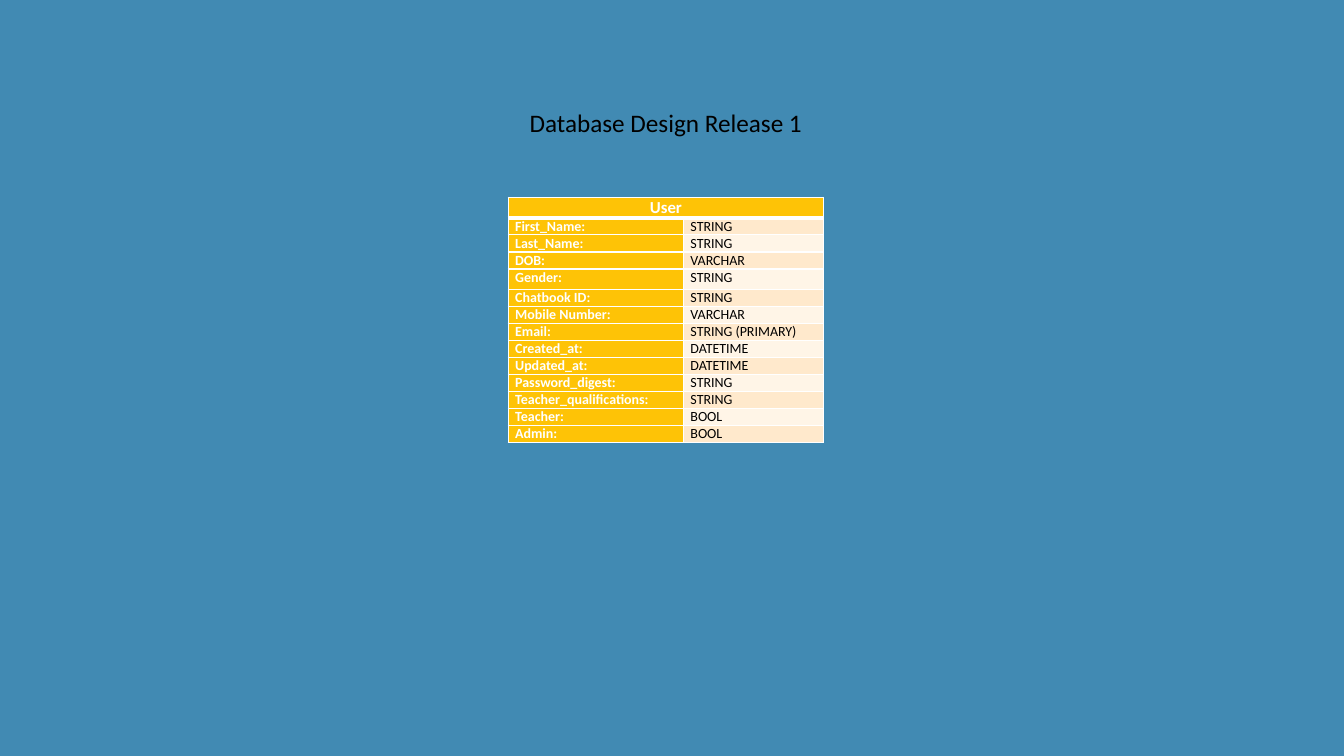
from dataclasses import dataclass

from lxml.etree import SubElement
from pptx import Presentation
from pptx.dml.color import RGBColor
from pptx.enum.text import MSO_ANCHOR, MSO_AUTO_SIZE, PP_ALIGN
from pptx.oxml.ns import qn
from pptx.util import Pt


@dataclass(frozen=True)
class Theme:
    font: str = "Calibri"
    background: str = "418AB3"
    accent: str = "FEC306"
    bands: tuple = ("FFE9CC", "FFF5E7")
    light: str = "FFFFFF"
    dark: str = "000000"
    title_size: float = 18
    header_size: float = 12
    body_size: float = 10
    thin_line: float = 1
    thick_line: float = 3


class SlideBuilder:
    """Holds the theme and the current slide."""

    def __init__(self, presentation, theme):
        self.theme = theme
        self.slide = presentation.slides.add_slide(presentation.slide_layouts[5])
        fill = self.slide.background.fill
        fill.solid()
        fill.fore_color.rgb = RGBColor.from_string(theme.background)

    def format_paragraph(self, paragraph, size, color, bold=False, align=PP_ALIGN.LEFT):
        paragraph.alignment = align
        font = paragraph.font
        font.name, font.size, font.bold = self.theme.font, Pt(size), bold
        font.color.rgb = RGBColor.from_string(color)

    def title(self, text, left, top, width, height):
        shape = self.slide.shapes.title
        shape.left, shape.top = Pt(left), Pt(top)
        shape.width, shape.height = Pt(width), Pt(height)
        frame = shape.text_frame
        frame.text = text
        frame.word_wrap = False
        frame.auto_size = MSO_AUTO_SIZE.SHAPE_TO_FIT_TEXT
        frame.vertical_anchor = MSO_ANCHOR.TOP
        self.format_paragraph(frame.paragraphs[0], self.theme.title_size,
                              self.theme.dark, align=PP_ALIGN.CENTER)

    def cell_borders(self, cell, **widths):
        properties = cell._tc.get_or_add_tcPr()
        for side in ("L", "R", "T", "B"):
            width = widths.get(side, self.theme.thin_line)
            line = SubElement(properties, qn(f"a:ln{side}"), w=str(Pt(width)))
            fill = SubElement(line, qn("a:solidFill"))
            SubElement(fill, qn("a:srgbClr"), val=self.theme.light)

    def cell(self, cell, text, fill, size, color, bold, align=PP_ALIGN.LEFT, **borders):
        cell.margin_left = cell.margin_right = Pt(5)
        cell.margin_top = cell.margin_bottom = 0
        self.cell_borders(cell, **borders)
        cell.fill.solid()
        cell.fill.fore_color.rgb = RGBColor.from_string(fill)
        cell.text = text
        self.format_paragraph(cell.text_frame.paragraphs[0], size, color, bold, align)

    def schema_table(self, name, fields, left, top, column_widths, row_heights):
        theme = self.theme
        table = self.slide.shapes.add_table(
            len(row_heights), len(column_widths), Pt(left), Pt(top),
            Pt(sum(column_widths)), Pt(sum(row_heights))).table
        table.first_row = table.horz_banding = False
        for column, width in zip(table.columns, column_widths):
            column.width = Pt(width)
        for row, height in zip(table.rows, row_heights):
            row.height = Pt(height)

        # Header across both columns
        table.cell(0, 0).merge(table.cell(0, 1))
        for column, text in enumerate((name, "")):
            self.cell(table.cell(0, column), text, theme.accent, theme.header_size,
                      theme.light, True, PP_ALIGN.CENTER, B=theme.thick_line)

        # One row per field, with banded types
        for index, (field, data_type) in enumerate(fields):
            row = index + 1
            top_line = theme.thin_line if index else theme.thick_line
            self.cell(table.cell(row, 0), f"{field}:", theme.accent,
                      theme.body_size, theme.light, True, T=top_line)
            self.cell(table.cell(row, 1), data_type, theme.bands[index % 2],
                      theme.body_size, theme.dark, False, T=top_line)


USER_FIELDS = [
    ("First_Name", "STRING"),
    ("Last_Name", "STRING"),
    ("DOB", "VARCHAR"),
    ("Gender", "STRING"),
    ("Chatbook ID", "STRING"),
    ("Mobile Number", "VARCHAR"),
    ("Email", "STRING (PRIMARY)"),
    ("Created_at", "DATETIME"),
    ("Updated_at", "DATETIME"),
    ("Password_digest", "STRING"),
    ("Teacher_qualifications", "STRING"),
    ("Teacher", "BOOL"),
    ("Admin", "BOOL"),
]
HEADER_HEIGHT, FIELD_HEIGHT, GENDER_HEIGHT = 14.6, 12.2, 14.4

presentation = Presentation()
presentation.slide_width, presentation.slide_height = Pt(960), Pt(540)
builder = SlideBuilder(presentation, Theme())

# Title
builder.title("Database Design Release 1", 369.4, 72.9, 212.4, 29)

# User table
row_heights = [HEADER_HEIGHT] + [
    GENDER_HEIGHT if field == "Gender" else FIELD_HEIGHT for field, _ in USER_FIELDS]
builder.schema_table("User", USER_FIELDS, 363, 141, (125.2, 100.2), row_heights)

presentation.save("out.pptx")
